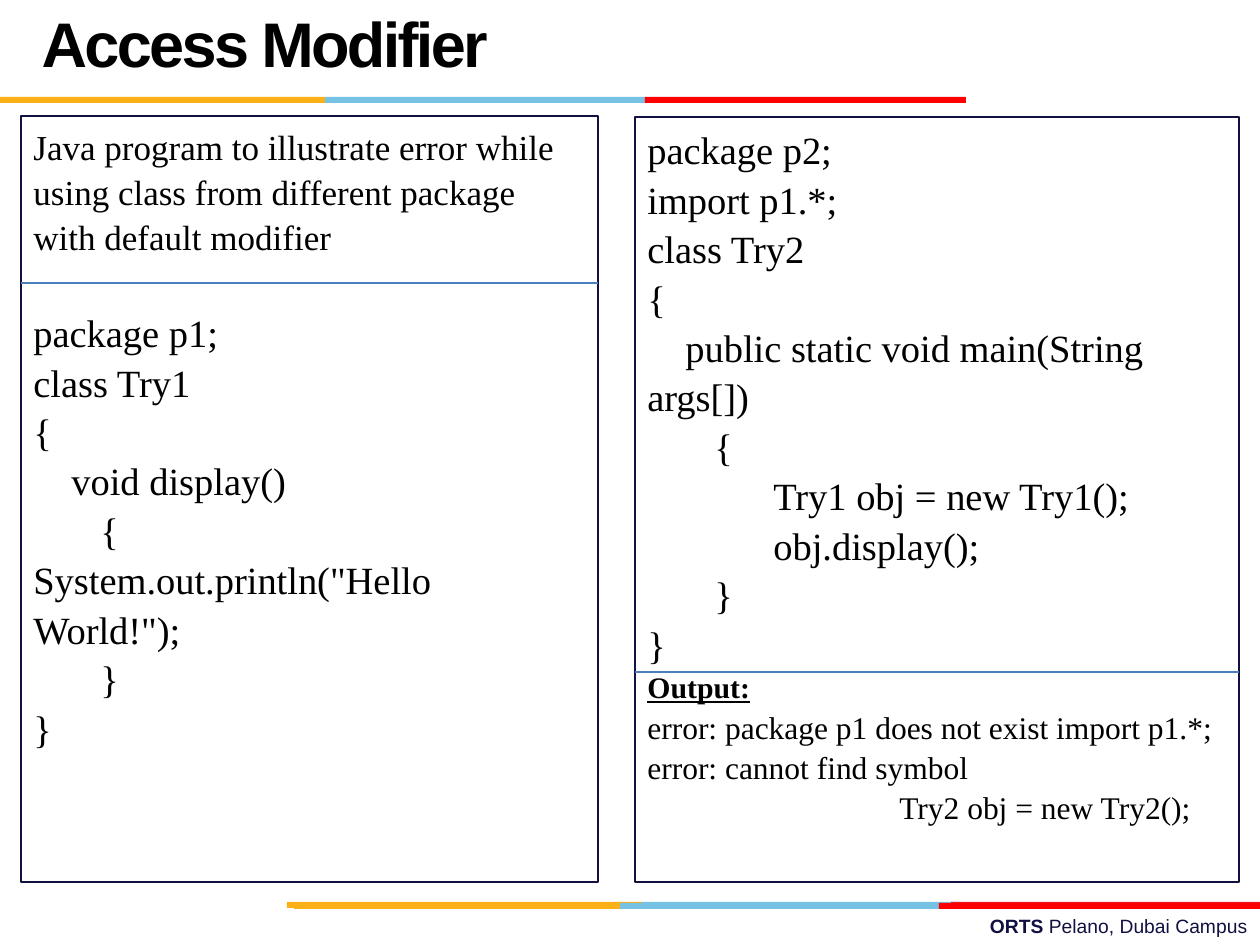
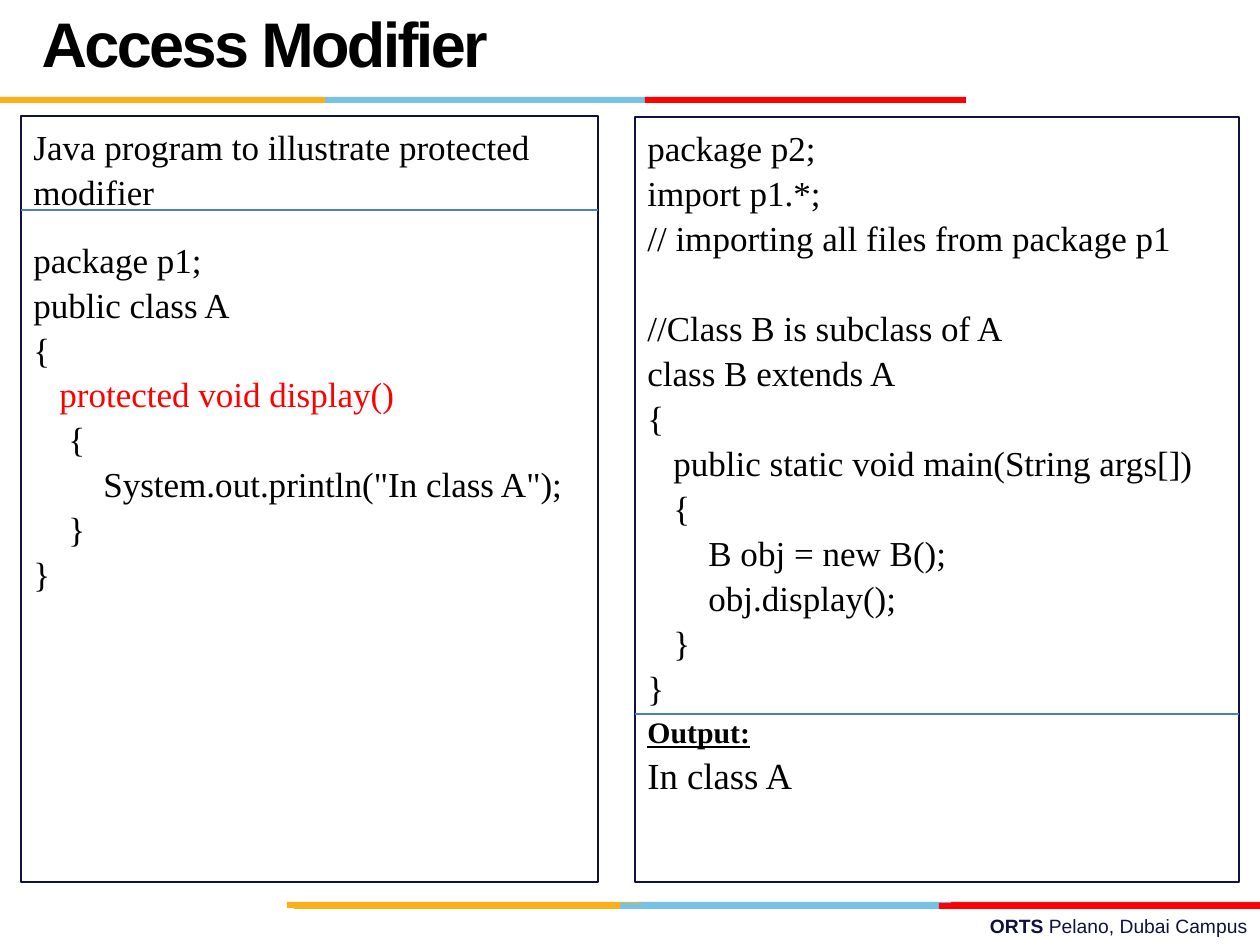
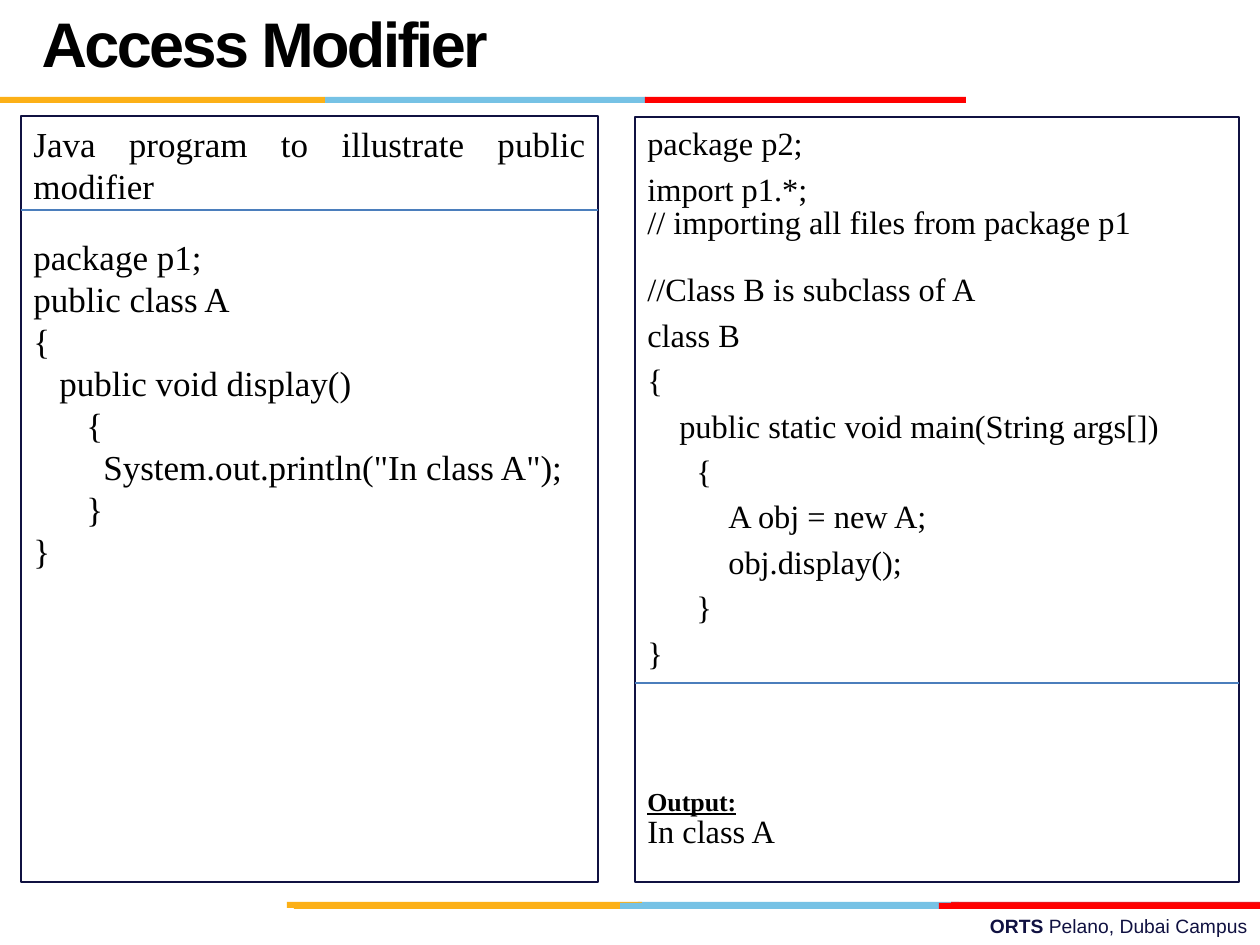
import pptx
import pptx.dml.color
import pptx.enum.shapes
import pptx.enum.text
import pptx.util
from lxml import etree

EMU_PER_PX = 914400 // 126
SERIF, SANS = "Times New Roman", "Arial"
BLACK, NAVY, RULE_BLUE = "000000", "101141", "4B7EBC"
GOLD, SKY, RED, CRIMSON = "FCB017", "76C2E5", "FF0000", "E31C24"
RECTANGLE = pptx.enum.shapes.MSO_SHAPE.RECTANGLE
STRAIGHT = pptx.enum.shapes.MSO_CONNECTOR.STRAIGHT
LEFT, RIGHT, JUSTIFY = (pptx.enum.text.PP_ALIGN.LEFT, pptx.enum.text.PP_ALIGN.RIGHT,
                        pptx.enum.text.PP_ALIGN.JUSTIFY)
TOP, MIDDLE = pptx.enum.text.MSO_ANCHOR.TOP, pptx.enum.text.MSO_ANCHOR.MIDDLE
NO_AUTOFIT = pptx.enum.text.MSO_AUTO_SIZE.NONE
PANELS = {"left": (21, 116, 577, 766), "right": (635, 117, 604, 765)}
CODE_BOX = (21, 229, 557, 373)
OUTPUT = {"bold": True, "underline": True}

# Each line is (first-line indent in px, text, differences from the block's style).
SLIDES = [
    {
        "rules": {"left": 283, "right": 672},
        "blocks": [
            ("left", {"size": 22, "spacing": 1.07}, [
                (0, "Java program to illustrate error while using class from different "
                    "package with default modifier", {"size": 20}),
                (0, "package p1;", {"before": 28}),
                (0, "class Try1", {}),
                (0, "{", {}),
                (38, "void display()", {}),
                (67, "{", {}),
                (0, 'System.out.println("Hello World!");', {}),
                (67, "}", {}),
                (0, "}", {}),
            ]),
            ("right", {"size": 22, "spacing": 1.07}, [
                (0, "package p2;", {}),
                (0, "import p1.*;", {}),
                (0, "class Try2", {}),
                (0, "{", {}),
                (38, "public static void main(String args[])", {}),
                (67, "{", {}),
                (126, "Try1 obj = new Try1();", {}),
                (126, "obj.display();", {}),
                (67, "}", {}),
                (0, "}", {}),
                (0, "Output:", {"size": 17, **OUTPUT}),
                (0, "error: package p1 does not exist import p1.*;", {"size": 18}),
                (0, "error: cannot find symbol", {"size": 18}),
                (252, "Try2 obj = new Try2();", {"size": 18}),
            ]),
        ],
    },
    {
        "rules": {"left": 210, "right": 714},
        "blocks": [
            ("left", {"size": 20, "spacing": 1.07}, [
                (0, "Java program to illustrate protected modifier", {}),
            ]),
            ("right", {"size": 20, "spacing": 1.07}, [
                (0, "package p2;", {}),
                (0, "import p1.*;", {}),
                (0, "// importing all files from package p1", {}),
                (0, "//Class B is subclass of A", {"before": 26}),
                (0, "class B extends A", {}),
                (0, "{", {}),
                (26, "public static void main(String args[])", {}),
                (26, "{", {}),
                (61, "B obj = new B();", {}),
                (61, "obj.display();", {}),
                (26, "}", {}),
                (0, "}", {}),
                (0, "Output:", {"size": 17, "spacing": 1, "before": 3.4, **OUTPUT}),
                (0, "In class A", {"size": 21}),
            ]),
            ("code", {"size": 20, "spacing": 1.07}, [
                (0, "package p1;", {}),
                (0, "public class A", {}),
                (0, "{", {}),
                (26, "protected void display()", {"color": RED}),
                (35, "{", {}),
                (70, 'System.out.println("In class A");', {}),
                (35, "}", {}),
                (0, "}", {}),
            ]),
        ],
    },
    {
        "rules": {"left": 210, "right": 683},
        "blocks": [
            ("left", {"size": 20, "before": 4, "align": JUSTIFY}, [
                (0, "Java program to illustrate public modifier", {}),
            ]),
            ("right", {"size": 18.5, "before": 3.7}, [
                (0, "package p2;", {}),
                (0, "import p1.*;", {}),
                (0, "// importing all files from package p1", {"spacing": 0.87, "before": 0}),
                (0, "//Class B is subclass of A", {"spacing": 0.87, "before": 19}),
                (0, "class B", {}),
                (0, "{", {}),
                (32, "public static void main(String args[])", {}),
                (49, "{", {}),
                (81, "A obj = new A;", {}),
                (81, "obj.display();", {}),
                (49, "}", {}),
                (0, "}", {}),
                (0, "Output:", {"size": 14.8, "before": 65, **OUTPUT}),
                (0, "In class A", {"spacing": 0.87, "before": 0}),
            ]),
            ("code", {"size": 20}, [
                (0, "package p1;", {}),
                (0, "public class A", {}),
                (0, "{", {}),
                (26, "public void display()", {}),
                (53, "{", {}),
                (70, 'System.out.println("In class A");', {}),
                (53, "}", {}),
                (0, "}", {}),
            ]),
        ],
    },
]


def rgb(color):
    return pptx.dml.color.RGBColor.from_string(color)


def add_run(paragraph, text, size, font=SERIF, color=BLACK, bold=False, underline=False):
    run = paragraph.add_run()
    run.text = text
    run.font.name, run.font.size = font, pptx.util.Pt(size)
    run.font.bold, run.font.underline = bold, underline
    run.font.color.rgb = rgb(color)
    return run


presentation = pptx.Presentation()
presentation.slide_width = 1260 * EMU_PER_PX
presentation.slide_height = 945 * EMU_PER_PX
layout = presentation.slide_layouts.get_by_name("Title Only")
slides = [presentation.slides.add_slide(layout) for _ in SLIDES]

# Shared look: shapes are drawn on the first slide, then moved to the layout.
title = layout.placeholders[0]
title.left, title.top, title.width, title.height = (
    px * EMU_PER_PX for px in (29, 24, 872, 50))

drawing = slides[0].shapes
shared_shapes = []
for left, top, width, color in [
    (638, 902, 321, SKY), (951, 902, 309, CRIMSON), (287, 902, 355, GOLD),
    (620, 903, 321, SKY), (294, 903, 326, GOLD), (939, 903, 321, RED),
    (325, 97, 321, SKY), (0, 97, 325, GOLD), (645, 97, 321, RED),
]:
    band = drawing.add_shape(
        RECTANGLE, *(px * EMU_PER_PX for px in (left, top, width, 6)))
    band.shadow.inherit = False
    band.fill.solid()
    band.fill.fore_color.rgb = rgb(color)
    band.line.fill.background()
    shared_shapes.append(band)

footer = drawing.add_textbox(*(px * EMU_PER_PX for px in (451, 908, 809, 37)))
footer.text_frame.word_wrap = True
paragraph = footer.text_frame.paragraphs[0]
paragraph.alignment = RIGHT
add_run(paragraph, "ORTS ", 11, SANS, NAVY, bold=True)
add_run(paragraph, "Pelano, Dubai Campus", 11, SANS, NAVY)
shared_shapes.append(footer)

for shape_id, shape in enumerate(shared_shapes, start=100):
    shape.element.nvSpPr.cNvPr.id = shape_id
    layout.shapes.element.append(shape.element)

for slide, content in zip(slides, SLIDES):
    title_frame = slide.shapes.title.text_frame
    title_frame.auto_size = NO_AUTOFIT
    title_frame.vertical_anchor = MIDDLE
    paragraph = title_frame.paragraphs[0]
    paragraph.alignment = LEFT
    paragraph.line_spacing = pptx.util.Pt(36)
    run = add_run(paragraph, "Access Modifier", 36, SANS, bold=True)
    run.font._element.set("spc", "-150")

    frames = {}
    for side, box in PANELS.items():
        panel = slide.shapes.add_shape(RECTANGLE, *(px * EMU_PER_PX for px in box))
        panel.shadow.inherit = False
        panel.fill.background()
        panel.line.color.rgb = rgb(NAVY)
        panel.line.width = pptx.util.Pt(0.75)
        frames[side] = panel.text_frame

    for side, y in content["rules"].items():
        left, _, width, _ = PANELS[side]
        rule = slide.shapes.add_connector(
            STRAIGHT, *(px * EMU_PER_PX for px in (left, y, left + width, y)))
        rule.line.color.rgb = rgb(RULE_BLUE)
        rule.line.width = pptx.util.Pt(0.75)
        etree.SubElement(rule.element.spPr, pptx.oxml.ns.qn("a:effectLst"))

    for place, block_style, lines in content["blocks"]:
        if place == "code":
            code_box = slide.shapes.add_textbox(*(px * EMU_PER_PX for px in CODE_BOX))
            frames[place] = code_box.text_frame
        frame = frames[place]
        frame.word_wrap = True
        frame.vertical_anchor = TOP
        for index, (indent, text, differences) in enumerate(lines):
            style = {"spacing": 1.0, "before": 0, "align": LEFT, **block_style, **differences}
            paragraph = frame.add_paragraph() if index else frame.paragraphs[0]
            paragraph.alignment = style.pop("align")
            paragraph.line_spacing = float(style.pop("spacing"))
            paragraph.space_before = pptx.util.Pt(style.pop("before"))
            paragraph._p.get_or_add_pPr().set("indent", str(indent * EMU_PER_PX))
            add_run(paragraph, text, **style)

presentation.save("out.pptx")
